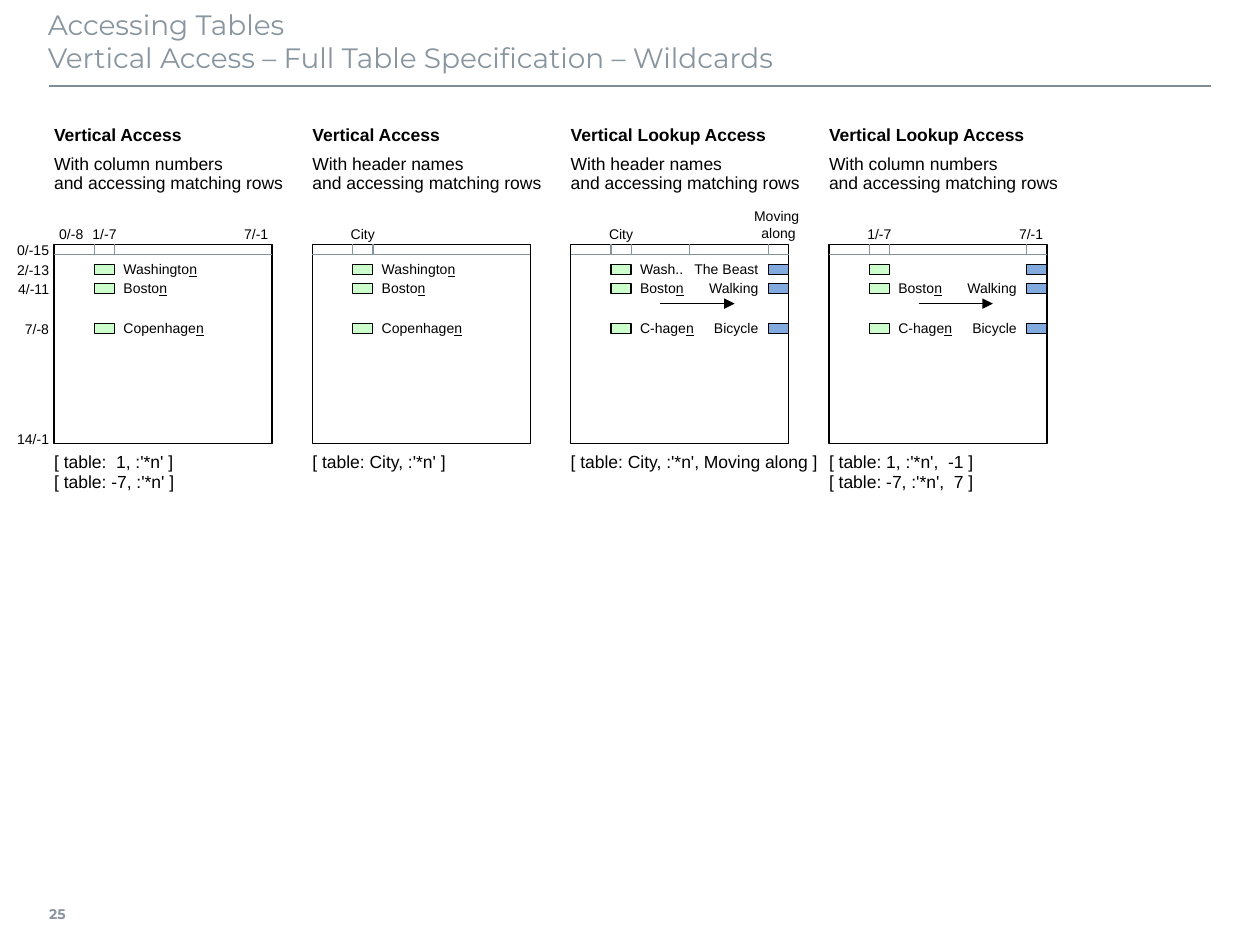
from dataclasses import dataclass

import pptx
import pptx.util
from lxml import etree
from pptx.dml.color import RGBColor
from pptx.enum.shapes import MSO_CONNECTOR, MSO_SHAPE
from pptx.enum.text import MSO_ANCHOR, PP_ALIGN
from pptx.oxml.ns import qn
from pptx.util import Inches

BLACK = RGBColor(0x00, 0x00, 0x00)
TITLE_GREY = RGBColor(0x89, 0x96, 0xA0)
RULE_GREY = RGBColor(0x80, 0x8D, 0x97)
GRID_GREY = RGBColor(0x85, 0x93, 0x9D)
KEY_GREEN = RGBColor(0xCC, 0xFF, 0xCC)
FOUND_BLUE = RGBColor(0x83, 0xAA, 0xDE)

# Panel grid, in inches
FIRST_LEFT, PITCH = 0.43, 2.05
TABLE_TOP, TABLE_WIDTH, TABLE_HEIGHT = 1.94, 1.73, 1.58
CELL_WIDTH, CELL_HEIGHT = 0.16, 0.08
KEY_X, LOOKUP_X = 0.32, 1.57
ROW_TOPS = (2.1, 2.25, 2.57)
LABEL_WIDTH, LABEL_HEIGHT = 0.7, 0.24
# Share of a label's width that lies left of its alignment point
ALIGN_SHARE = {PP_ALIGN.LEFT: 0, PP_ALIGN.CENTER: 0.5, PP_ALIGN.RIGHT: 1}


@dataclass(frozen=True)
class ColumnLabel:
    lines: tuple[str, ...]
    x: float                            # alignment point within the panel
    align: PP_ALIGN = PP_ALIGN.CENTER
    middle: float = 1.86


@dataclass(frozen=True)
class Panel:
    heading: str
    method: str
    code: tuple[str, ...]
    columns: tuple[ColumnLabel, ...]
    keys: tuple[str, ...]               # the last "n" of a key is underlined
    found: tuple[str, ...] = ()         # values in the lookup column
    ticks: tuple[float, ...] = (KEY_X, KEY_X + CELL_WIDTH)


LAST_COLUMN = ColumnLabel(("7/-1",), 1.7, PP_ALIGN.RIGHT)
CITY = ColumnLabel(("City",), 0.4)
FIRST_COLUMN = ColumnLabel(("1/-7",), 0.4)
MOVING = ColumnLabel(("Moving ", "along"), 1.65, middle=1.78)
BY_NUMBER, BY_NAME = "With column numbers", "With header names"
CITIES = ("Washington", "Boston", "Copenhagen")

PANELS = (
    Panel("Vertical Access", BY_NUMBER, ("[ table:  1, :'*n' ]", "[ table: -7, :'*n' ]"),
          (ColumnLabel(("0/-8",), 0.04, PP_ALIGN.LEFT), FIRST_COLUMN, LAST_COLUMN), CITIES),
    Panel("Vertical Access", BY_NAME, ("[ table: City, :'*n' ]",), (CITY,), CITIES),
    Panel("Vertical Lookup Access", BY_NAME, ("[ table: City, :'*n', Moving along ]",),
          (CITY, MOVING), ("Wash..", "Boston", "C-hagen"), ("The Beast", "Walking", "Bicycle"),
          (KEY_X, KEY_X + CELL_WIDTH, 0.94, LOOKUP_X)),
    Panel("Vertical Lookup Access", BY_NUMBER,
          ("[ table: 1, :'*n',  -1 ]", "[ table: -7, :'*n',  7 ]"),
          (FIRST_COLUMN, LAST_COLUMN), ("", "Boston", "C-hagen"), ("", "Walking", "Bicycle"),
          (KEY_X, KEY_X + CELL_WIDTH, LOOKUP_X)),
)
ROW_LABELS = (("0/-15", TABLE_TOP), ("2/-13", ROW_TOPS[0]), ("4/-11", ROW_TOPS[1]),
              ("7/-8", ROW_TOPS[2]), ("14/-1", 3.44))


def add_text(slide, lines, x: float, y: float, width: float, height: float, *,
             size: float = 8, font: str = "Arial", color: RGBColor = BLACK,
             bold: bool = False, align: PP_ALIGN = PP_ALIGN.LEFT,
             anchor: MSO_ANCHOR = MSO_ANCHOR.MIDDLE, insets=(0, 0, 0, 0),
             spacing: float = 1.0, underline_n: bool = False) -> None:
    box = slide.shapes.add_textbox(Inches(x), Inches(y), Inches(width), Inches(height))
    frame = box.text_frame
    frame.word_wrap = True
    frame.vertical_anchor = anchor
    frame.margin_left, frame.margin_top, frame.margin_right, frame.margin_bottom = map(
        Inches, insets)
    for index, line in enumerate(lines):
        paragraph = frame.add_paragraph() if index else frame.paragraphs[0]
        paragraph.alignment = align
        paragraph.line_spacing = spacing
        marked = underline_n and line.endswith("n")
        for part, underlined in ((line[:-1], False), ("n", True)) if marked else ((line, False),):
            run = paragraph.add_run()
            run.text = part
            run.font.size = pptx.util.Pt(size)
            run.font.name = font
            run.font.bold = bold
            run.font.color.rgb = color
            if underlined:
                run.font.underline = True


def add_label(slide, lines, x: float, middle: float, align: PP_ALIGN, *,
              spacing: float = 1.0, underline_n: bool = False) -> None:
    """Small text aligned on the point x and centred on the height middle."""
    add_text(slide, lines, x - ALIGN_SHARE[align] * LABEL_WIDTH, middle - LABEL_HEIGHT / 2,
             LABEL_WIDTH, LABEL_HEIGHT, align=align, spacing=spacing, underline_n=underline_n)


def add_line(slide, x1: float, y1: float, x2: float, y2: float, color: RGBColor,
             weight: float = 0.75, arrow: bool = False) -> None:
    line = slide.shapes.add_connector(
        MSO_CONNECTOR.STRAIGHT, Inches(x1), Inches(y1), Inches(x2), Inches(y2))
    line.line.color.rgb = color
    line.line.width = pptx.util.Pt(weight)
    if arrow:
        etree.SubElement(line.line._get_or_add_ln(), qn("a:tailEnd"), type="triangle")
    etree.SubElement(line._element.spPr, qn("a:effectLst"))


def add_box(slide, x: float, y: float, width: float, height: float,
            fill: RGBColor | None = None) -> None:
    box = slide.shapes.add_shape(
        MSO_SHAPE.RECTANGLE, Inches(x), Inches(y), Inches(width), Inches(height))
    box.shadow.inherit = False
    if fill is None:
        box.fill.background()
    else:
        box.fill.solid()
        box.fill.fore_color.rgb = fill
    box.line.color.rgb = BLACK
    box.line.width = pptx.util.Pt(0.75)


def add_panel(slide, panel: Panel, left: float) -> None:
    # Heading and explanation
    add_text(slide, (panel.heading,), left, 0.99, 2, 0.16, size=10, bold=True)
    add_text(slide, (panel.method, "and accessing matching rows"), left, 1.23, 2, 0.39,
             size=10, anchor=MSO_ANCHOR.TOP, spacing=0.9)

    # Table outline with header row
    header_bottom = TABLE_TOP + CELL_HEIGHT
    add_box(slide, left, TABLE_TOP, TABLE_WIDTH, TABLE_HEIGHT)
    add_line(slide, left, header_bottom, left + TABLE_WIDTH, header_bottom, GRID_GREY)
    for tick in panel.ticks:
        add_line(slide, left + tick, TABLE_TOP, left + tick, header_bottom, GRID_GREY)
    for label in panel.columns:
        add_label(slide, label.lines, left + label.x, label.middle, label.align)

    # Matching rows, and the values looked up from them
    for values, cell_x, text_x, fill, align in (
            (panel.keys, KEY_X, 0.55, KEY_GREEN, PP_ALIGN.LEFT),
            (panel.found, LOOKUP_X, 1.49, FOUND_BLUE, PP_ALIGN.RIGHT)):
        for value, top in zip(values, ROW_TOPS):
            add_box(slide, left + cell_x, top, CELL_WIDTH, CELL_HEIGHT, fill)
            if value:
                add_label(slide, (value,), left + text_x, top + CELL_HEIGHT / 2, align,
                          spacing=0.95, underline_n=fill == KEY_GREEN)
    if panel.found:
        add_line(slide, left + 0.71, 2.41, left + 1.3, 2.41, BLACK, arrow=True)

    # Access expression
    add_text(slide, panel.code, left, 3.59, 2.04, 0.55, size=10,
             anchor=MSO_ANCHOR.TOP, spacing=0.95)


def main() -> None:
    deck = pptx.Presentation()
    deck.slide_width, deck.slide_height = Inches(10), Inches(7.5)
    slide = deck.slides.add_slide(deck.slide_layouts[6])

    # Title, rule and page number
    add_line(slide, 0.39, 0.68, 9.61, 0.68, RULE_GREY, weight=1)
    add_text(slide, ("25",), 0.39, 7.06, 0.35, 0.39, font="Montserrat", color=TITLE_GREY,
             bold=True, insets=(0, 0.05, 0.08, 0.05))
    add_text(slide, ("Accessing Tables", "Vertical Access – Full Table Specification – Wildcards"),
             0.38, 0.01, 9.21, 0.63, size=16, font="Montserrat", color=TITLE_GREY,
             anchor=MSO_ANCHOR.TOP, insets=(0, 0.05, 0.1, 0.05))

    # Four access variants, with row numbers beside the first
    for index, panel in enumerate(PANELS):
        add_panel(slide, panel, FIRST_LEFT + index * PITCH)
    for label, top in ROW_LABELS:
        add_label(slide, (label,), 0.39, top + CELL_HEIGHT / 2, PP_ALIGN.RIGHT)

    deck.save("out.pptx")


if __name__ == "__main__":
    main()
